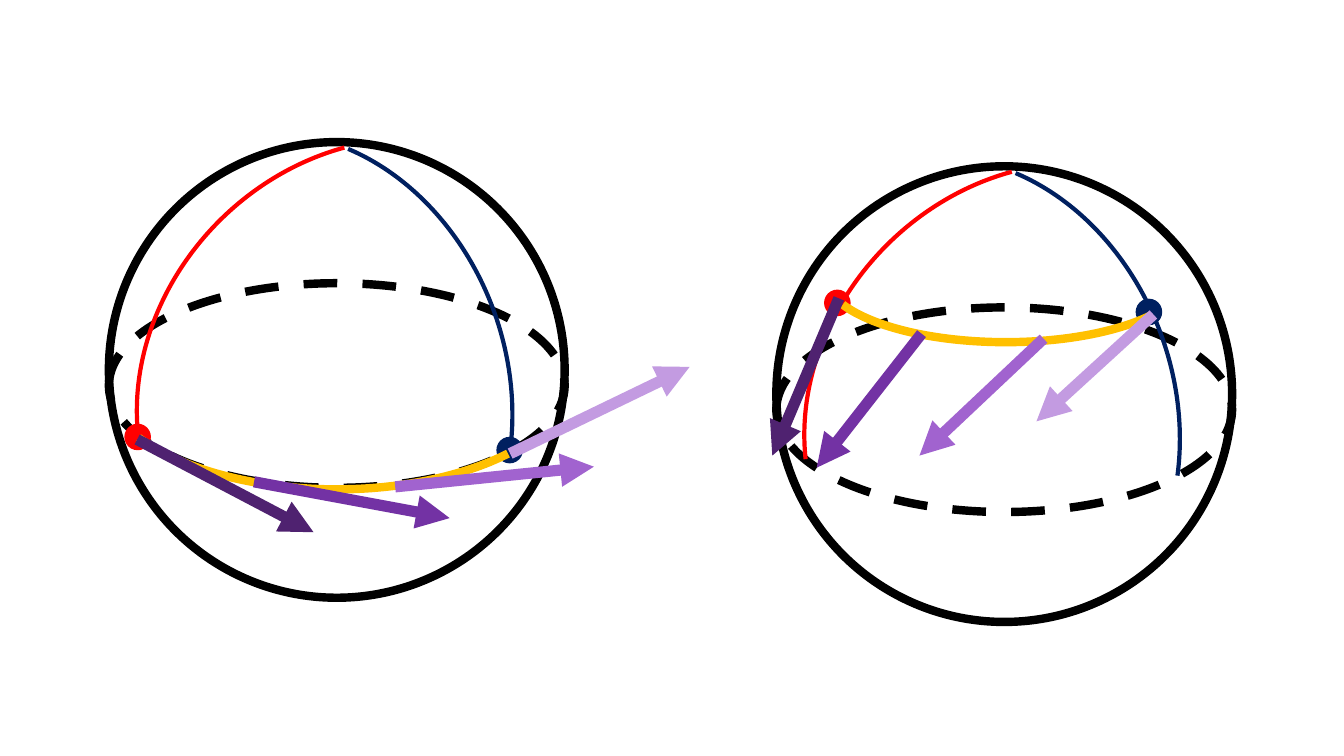
from pptx import Presentation
from pptx import util as u
from pptx.dml.color import RGBColor
from pptx.enum import dml, shapes
from pptx.oxml import parse_xml
from pptx.oxml.ns import nsdecls

BLACK, RED, NAVY, GOLD = "000000", "FF0000", "002060", "FFC000"
PLUM, PURPLE, VIOLET, LILAC = "4F2270", "7332A4", "A163CF", "C39BE1"
MERIDIAN_SWEEP = (180.7, 23.32)


def colour(hex_string):
    return RGBColor.from_string(hex_string)


class Sketch:
    """Draws line art on the current slide, one group at a time."""
    outline, meridian, arrow_width = 6, 3, 8
    diameter, equator_height, dot_size = 4.52, 2.03, 0.25

    def __init__(self, page):
        self.page = page
        self.group = None

    def start_group(self):
        self.group = self.page.shapes.add_group_shape()

    def stroke(self, item, hex_string, width):
        item.line.color.rgb = colour(hex_string)
        item.line.width = u.Pt(width)

    def shape(self, kind, box, hex_string, width):
        item = self.group.shapes.add_shape(kind, *map(u.Inches, box))
        item.shadow.inherit = False
        item.fill.background()
        self.stroke(item, hex_string, width)
        return item

    def ellipse(self, box, dashed=False):
        item = self.shape(shapes.MSO_SHAPE.OVAL, box, BLACK, self.outline)
        if dashed:
            item.line.dash_style = dml.MSO_LINE.DASH

    def dot(self, left, top, hex_string):
        box = (left, top, self.dot_size, self.dot_size)
        item = self.shape(shapes.MSO_SHAPE.OVAL, box, hex_string, 1)
        item.fill.solid()
        item.fill.fore_color.rgb = colour(hex_string)

    def arc(self, box, rotation, sweep, hex_string, width):
        item = self.shape(shapes.MSO_SHAPE.ARC, box, hex_string, width)
        item.rotation = rotation
        for index, angle in enumerate(sweep):
            item.adjustments[index] = angle

    def arrow(self, start, end, hex_string):
        item = self.group.shapes.add_connector(
            shapes.MSO_CONNECTOR.STRAIGHT, *map(u.Inches, start + end))
        self.stroke(item, hex_string, self.arrow_width)
        item.line._get_or_add_ln().append(
            parse_xml(f'<a:tailEnd {nsdecls("a")} type="triangle"/>'))
        item._element.spPr.append(parse_xml(f'<a:effectLst {nsdecls("a")}/>'))

    def sphere(self, left, top, red_dot, navy_dot, path_box, path_sweep, arrows):
        self.start_group()
        # Equator and outline
        self.ellipse((left, top + 1.4, self.diameter, self.equator_height), dashed=True)
        self.ellipse((left, top, self.diameter, self.diameter))
        # Meridians, end points and the path between them
        self.arc((left + 0.46, top - 0.2, 4.29, 5.01), 224.3,
                 MERIDIAN_SWEEP, RED, self.meridian)
        self.dot(*red_dot, RED)
        self.dot(*navy_dot, NAVY)
        self.arc(path_box, 90, path_sweep, GOLD, self.outline)
        self.arc((left - 0.1, top - 0.14, 4.04, 5.01), 340,
                 MERIDIAN_SWEEP, NAVY, self.meridian)
        # Transported vectors
        for hex_string, start, end in arrows:
            self.arrow(start, end, hex_string)


def main():
    deck = Presentation()
    deck.slide_width, deck.slide_height = u.Inches(13.33), u.Inches(7.5)
    sketch = Sketch(deck.slides.add_slide(deck.slide_layouts[6]))

    # Right sphere: path along a parallel
    sketch.sphere(
        7.7, 1.65, red_dot=(8.18, 2.88), navy_dot=(11.27, 2.97),
        path_box=(9.31, 0.93, 1.33, 3.6), path_sweep=(170.94, 47.85),
        arrows=[(PLUM, (8.32, 2.96), (7.66, 4.52)),
                (LILAC, (11.44, 3.12), (10.28, 4.18)),
                (VIOLET, (10.35, 3.36), (9.12, 4.52)),
                (PURPLE, (9.14, 3.31), (8.1, 4.64))])

    # Left sphere: path along the equator
    sketch.sphere(
        1.08, 1.41, red_dot=(1.24, 4.21), navy_dot=(4.93, 4.34),
        path_box=(2.17, 1.32, 2.33, 4.74), path_sweep=(177.26, 42.93),
        arrows=[(LILAC, (5.06, 4.5), (6.84, 3.64)),
                (PLUM, (1.36, 4.36), (3.11, 5.28)),
                (VIOLET, (3.92, 4.83), (5.89, 4.63)),
                (PURPLE, (2.52, 4.78), (4.46, 5.14))])

    deck.save("out.pptx")


if __name__ == "__main__":
    main()
